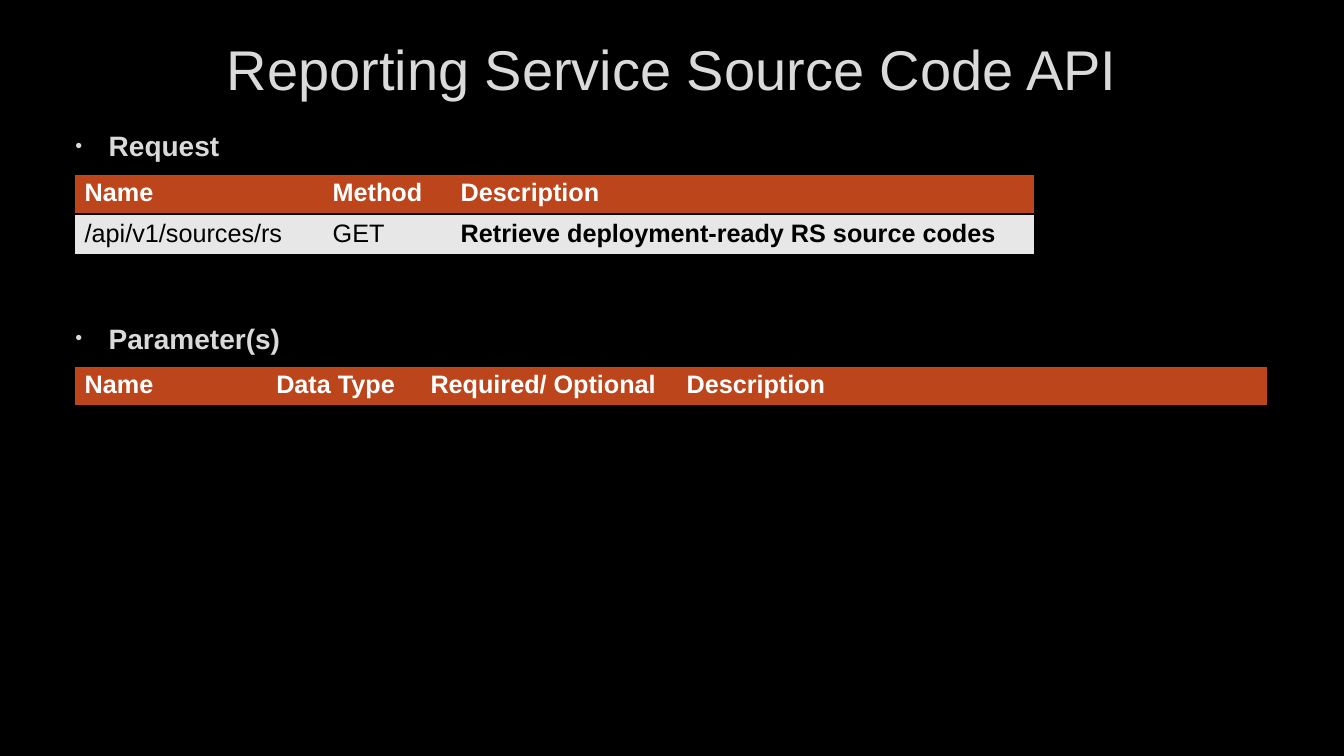
from dataclasses import dataclass

from lxml.etree import SubElement
from pptx import Presentation
from pptx.dml.color import RGBColor
from pptx.enum.text import MSO_ANCHOR, MSO_AUTO_SIZE, PP_ALIGN
from pptx.oxml import parse_xml
from pptx.oxml.ns import nsdecls, qn
from pptx.util import Inches, Pt

BLACK = RGBColor(0x00, 0x00, 0x00)
WHITE = RGBColor(0xFF, 0xFF, 0xFF)
LIGHT = RGBColor(0xDA, 0xDA, 0xDA)
ORANGE = RGBColor(0xBC, 0x45, 0x1B)
PALE = RGBColor(0xE7, 0xE7, 0xE7)
FONT = "Arial"
PLAIN_STYLE = "{2D5ABB26-0587-4C30-8999-92F81FD0307C}"
TABLE_LEFT = 0.74
ROW_HEIGHT = 0.405
HEADING_RISE = 0.66


@dataclass
class Section:
    heading: str
    table_top: float
    widths: list[float]
    rows: list[list[str]]


SECTIONS = [
    Section("Request", 1.72, [2.46, 1.27, 5.79], [
        ["Name", "Method", "Description"],
        ["/api/v1/sources/rs", "GET", "Retrieve deployment-ready RS source codes"],
    ]),
    Section("Parameter(s)", 3.63, [1.9, 1.53, 2.54, 5.86], [
        ["Name", "Data Type", "Required/ Optional", "Description"],
    ]),
]


def format_text(p, size: int, color: RGBColor, bold: bool = False) -> None:
    for r in p.runs:
        r.font.name = FONT
        r.font.size = Pt(size)
        r.font.bold = bold
        r.font.color.rgb = color


def add_bullet(p) -> None:
    pPr = p._p.get_or_add_pPr()
    pPr.set("marL", str(Inches(0.37)))
    pPr.set("indent", str(Inches(-0.33)))
    color = SubElement(pPr, qn("a:buClr"))
    SubElement(color, qn("a:srgbClr"), val=str(LIGHT))
    SubElement(pPr, qn("a:buSzPct"), val="70000")
    SubElement(pPr, qn("a:buFont"), typeface=FONT)
    SubElement(pPr, qn("a:buChar"), char="•")


def add_heading(slide, section: Section) -> None:
    sp = slide.shapes.add_textbox(
        Inches(0.61), Inches(section.table_top - HEADING_RISE), Inches(10.17), Inches(0.7))
    tf = sp.text_frame
    tf.word_wrap = True
    p = tf.paragraphs[0]
    p.text = section.heading
    p.line_spacing = 1.5
    p.space_before = Pt(4)
    p.space_after = Pt(6)
    add_bullet(p)
    format_text(p, 20, LIGHT, True)


def add_rules(cell) -> None:
    tcPr = cell._tc.get_or_add_tcPr()
    for index, side in enumerate(("lnT", "lnB")):
        tcPr.insert(index, parse_xml(
            f'<a:{side} {nsdecls("a")} w="{Pt(2)}"><a:solidFill>'
            f'<a:srgbClr val="{BLACK}"/></a:solidFill></a:{side}>'))


def add_section_table(slide, section: Section) -> None:
    rows, widths = section.rows, section.widths
    frame = slide.shapes.add_table(
        len(rows), len(widths), Inches(TABLE_LEFT), Inches(section.table_top),
        Inches(sum(widths)), Inches(ROW_HEIGHT * len(rows)))
    table = frame.table
    table.horz_banding = False
    table._tbl.tblPr.find(qn("a:tableStyleId")).text = PLAIN_STYLE
    for column, width in zip(table.columns, widths):
        column.width = Inches(width)
    for i, row in enumerate(rows):
        for j, text in enumerate(row):
            cell = table.cell(i, j)
            cell.fill.solid()
            cell.fill.fore_color.rgb = PALE if i else ORANGE
            add_rules(cell)
            p = cell.text_frame.paragraphs[0]
            p.text = text
            is_bold = i == 0 or j == len(row) - 1
            format_text(p, 18, BLACK if i else WHITE, is_bold)


def add_title(slide, text: str) -> None:
    sp = slide.shapes.title
    sp.left, sp.top = Inches(1), Inches(0)
    sp.width, sp.height = Inches(11.32), Inches(1.06)
    tf = sp.text_frame
    tf.text = text
    tf.word_wrap = True
    tf.auto_size = MSO_AUTO_SIZE.NONE
    tf.vertical_anchor = MSO_ANCHOR.BOTTOM
    p = tf.paragraphs[0]
    p.alignment = PP_ALIGN.CENTER
    format_text(p, 40, LIGHT)


def main() -> None:
    prs = Presentation()
    prs.slide_width, prs.slide_height = Inches(13.33), Inches(7.5)
    slide = prs.slides.add_slide(prs.slide_layouts[5])
    slide.background.fill.solid()
    slide.background.fill.fore_color.rgb = BLACK
    add_title(slide, "Reporting Service Source Code API")
    for section in SECTIONS:
        add_section_table(slide, section)
        add_heading(slide, section)
    prs.save("out.pptx")


if __name__ == "__main__":
    main()
